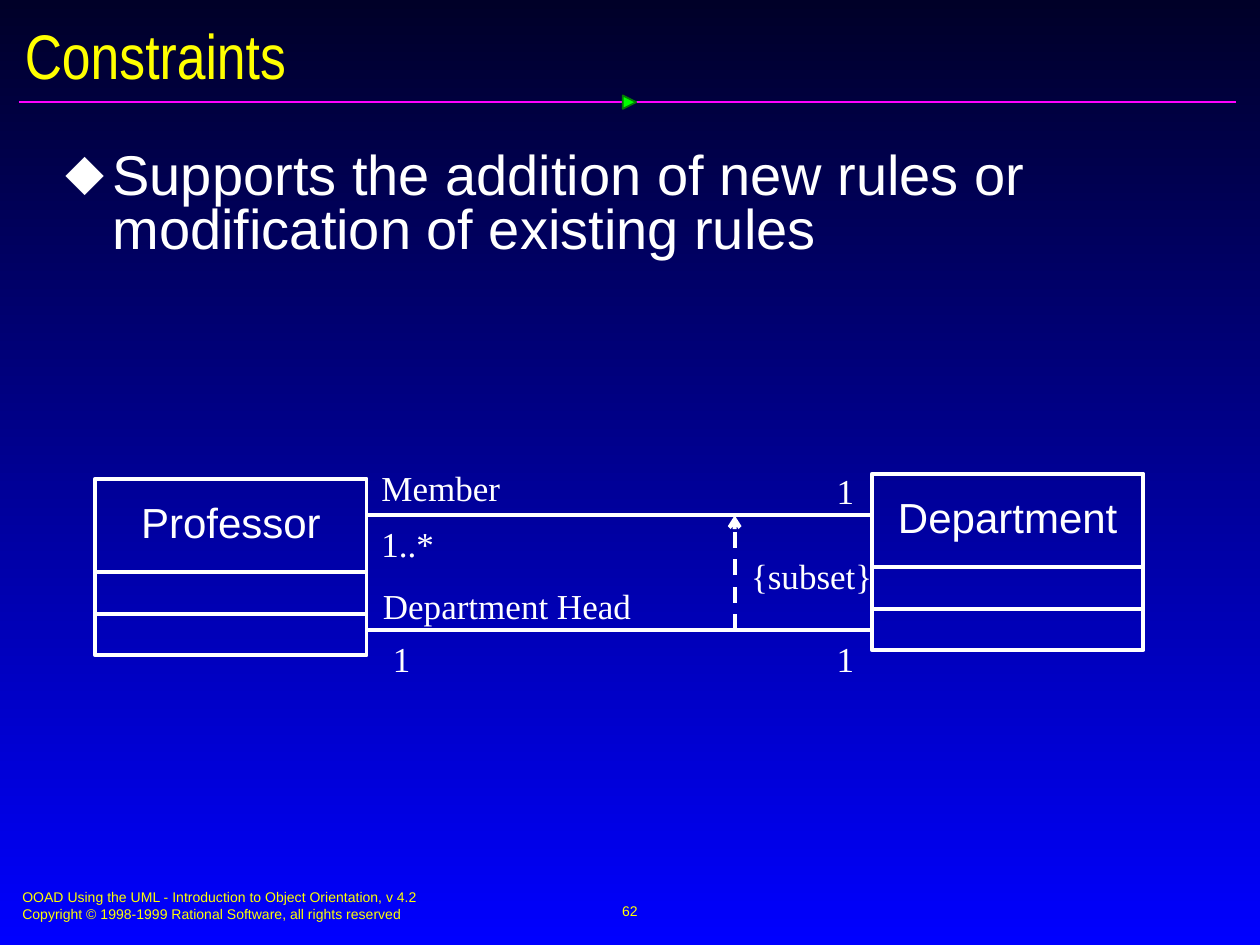
from collections import namedtuple
from dataclasses import dataclass

from lxml import etree
from pptx import Presentation
from pptx.dml.color import RGBColor
from pptx.enum.dml import MSO_LINE
from pptx.enum.shapes import MSO_CONNECTOR, MSO_SHAPE
from pptx.enum.text import MSO_ANCHOR, PP_ALIGN
from pptx.oxml.ns import qn
from pptx.util import Cm, Pt

LEFT, CENTER, RIGHT = PP_ALIGN.LEFT, PP_ALIGN.CENTER, PP_ALIGN.RIGHT
TOP, MIDDLE = MSO_ANCHOR.TOP, MSO_ANCHOR.MIDDLE

Box = namedtuple("Box", "left top width height")
Style = namedtuple("Style", "font size color")


@dataclass(frozen=True)
class Theme:
    sky_top: str = "000028"
    sky_bottom: str = "0000FF"
    ink: str = "FFFFFF"
    rule: str = "FF01FF"
    marker: str = "00FF00"
    marker_edge: str = "037C03"
    thin: float = 1
    thick: float = 2.25
    title: Style = Style("Arial Narrow", 36, "FFFF00")
    body: Style = Style("Arial", 32, "FFFFFF")
    class_name: Style = Style("Arial", 24, "FFFFFF")
    label: Style = Style("Times New Roman", 20, "FFFFFF")
    footer: Style = Style("Arial", 8, "FFFF00")


THEME = Theme()


def rgb(value):
    return RGBColor.from_string(value)


def add_text(page, box, lines, style, align=LEFT, anchor=TOP, inset=(0.25, 0.13)):
    frame = page.shapes.add_textbox(*map(Cm, box)).text_frame
    frame.word_wrap = True
    frame.vertical_anchor = anchor
    frame.margin_left = frame.margin_right = Cm(inset[0])
    frame.margin_top = frame.margin_bottom = Cm(inset[1])
    for index, line in enumerate(lines):
        para = frame.add_paragraph() if index else frame.paragraphs[0]
        para.alignment = align
        span = para.add_run()
        span.text = line
        span.font.name = style.font
        span.font.size = Pt(style.size)
        span.font.color.rgb = rgb(style.color)
    return frame


def add_line(page, start, end, color=THEME.ink, width=THEME.thick):
    line = page.shapes.add_connector(
        MSO_CONNECTOR.STRAIGHT, *map(Cm, (*start, *end)))
    line.line.color.rgb = rgb(color)
    line.line.width = Pt(width)
    etree.SubElement(line._element.spPr, qn("a:effectLst"))
    return line


def add_preset(page, preset, box, edge, width, fill=None):
    shape = page.shapes.add_shape(preset, *map(Cm, box))
    shape.shadow.inherit = False
    if fill:
        shape.fill.solid()
        shape.fill.fore_color.rgb = rgb(fill)
    else:
        shape.fill.background()
    shape.line.color.rgb = rgb(edge)
    shape.line.width = Pt(width)
    return shape


def paint_background(page):
    fill = page.background.fill
    fill.gradient()
    fill.gradient_angle = 270
    for stop, color in zip(fill.gradient_stops, (THEME.sky_top, THEME.sky_bottom)):
        stop.color.rgb = rgb(color)


def add_header(page, box, title):
    """Title above a rule that carries a triangle at its middle."""
    add_text(page, Box(box.left, box.top, box.width, 1.47), [title],
             THEME.title, anchor=MIDDLE)
    rule_y = box.top + box.height
    rule_left, rule_right = box.left + 0.13, box.left + 24.67
    add_line(page, (rule_left, rule_y), (rule_right, rule_y),
             THEME.rule, THEME.thin)
    size = 0.27
    marker = Box((rule_left + rule_right - size) / 2 + 0.04,
                 rule_y - size / 2, size, size)
    triangle = add_preset(page, MSO_SHAPE.ISOSCELES_TRIANGLE, marker,
                          THEME.marker_edge, THEME.thin, THEME.marker)
    triangle.rotation = 90


def add_bullets(page, box, lines):
    frame = add_text(page, box, lines, THEME.body, inset=(0.3, 0.15))
    for para in frame.paragraphs:
        para.line_spacing = 0.8
        props = para._p.get_or_add_pPr()
        props.set("marL", str(Cm(0.95)))
        props.set("indent", str(-Cm(0.95)))
        color = etree.SubElement(props, qn("a:buClr"))
        etree.SubElement(color, qn("a:srgbClr"), val=THEME.body.color)
        etree.SubElement(props, qn("a:buFont"), typeface=THEME.body.font)
        etree.SubElement(props, qn("a:buChar"), char="⬥")


def add_class(page, box, name):
    """UML class: name, attribute and operation compartments."""
    add_text(page, Box(box.left, box.top + 0.22, box.width, 1.27), [name],
             THEME.class_name, CENTER)
    add_preset(page, MSO_SHAPE.RECTANGLE, box, THEME.ink, THEME.thick)
    for offset in (1.88, 2.72):
        y = box.top + offset
        add_line(page, (box.left, y), (box.left + box.width, y))


def add_dependency(page, start, end):
    arrow = add_line(page, start, end)
    arrow.line.dash_style = MSO_LINE.DASH
    etree.SubElement(arrow.line._get_or_add_ln(), qn("a:tailEnd"), type="arrow")


def add_diagram(page, box):
    """Two classes joined by two associations, one a subset of the other."""
    class_width, class_height = 5.47, 3.56
    near = box.left + class_width
    far = box.left + box.width - class_width
    add_class(page, Box(box.left, box.top + 0.1, class_width, class_height),
              "Professor")
    add_class(page, Box(far, box.top, class_width, class_height), "Department")

    member_y, head_y = box.top + 0.84, box.top + 3.15
    for y in (member_y, head_y):
        add_line(page, (near, y), (far, y))
    dependency_x = box.left + 12.89
    add_dependency(page, (dependency_x, head_y), (dependency_x, member_y))

    width = 4.39
    far_label = far - width - 0.06
    labels = [
        ("Member", near, member_y - 1.14, width, LEFT),
        ("1..*", near, member_y, width, LEFT),
        ("1", far_label, member_y - 1.07, width, RIGHT),
        ("{subset}", dependency_x - 0.64, member_y + 0.63, width, CENTER),
        ("Department Head", near + 0.03, head_y - 1.07, 6.3, LEFT),
        ("1", near + 0.23, head_y, width, LEFT),
        ("1", far_label, head_y, width, RIGHT),
    ]
    for text, left, top, label_width, align in labels:
        add_text(page, Box(left, top, label_width, 1.14), [text],
                 THEME.label, align, inset=(0.3, 0.15))


def add_footer(page, box, lines, number):
    add_text(page, Box(box.left, box.top, 12.95, 0.94), lines, THEME.footer)
    number_width = 8.05
    add_text(page, Box(box.left + (box.width - number_width) / 2, box.top - 0.05,
                       number_width, box.height),
             [number], THEME.footer, CENTER, MIDDLE)


def main():
    deck = Presentation()
    deck.slide_width, deck.slide_height = Cm(25.4), Cm(19.05)
    page = deck.slides.add_slide(deck.slide_layouts[6])
    paint_background(page)
    add_header(page, Box(0.25, 0.36, 24.99, 1.7), "Constraints")
    add_bullets(page, Box(1.02, 2.92, 23.6, 14.02), [
        "Supports the addition of new rules or modification of existing rules"])
    add_diagram(page, Box(1.92, 9.55, 21.13, 3.66))
    add_footer(page, Box(0.2, 17.78, 25, 1.27), [
        "OOAD Using the UML - Introduction to Object Orientation, v 4.2",
        "Copyright © 1998-1999 Rational Software, all rights reserved"], "62")
    deck.save("out.pptx")


if __name__ == "__main__":
    main()
